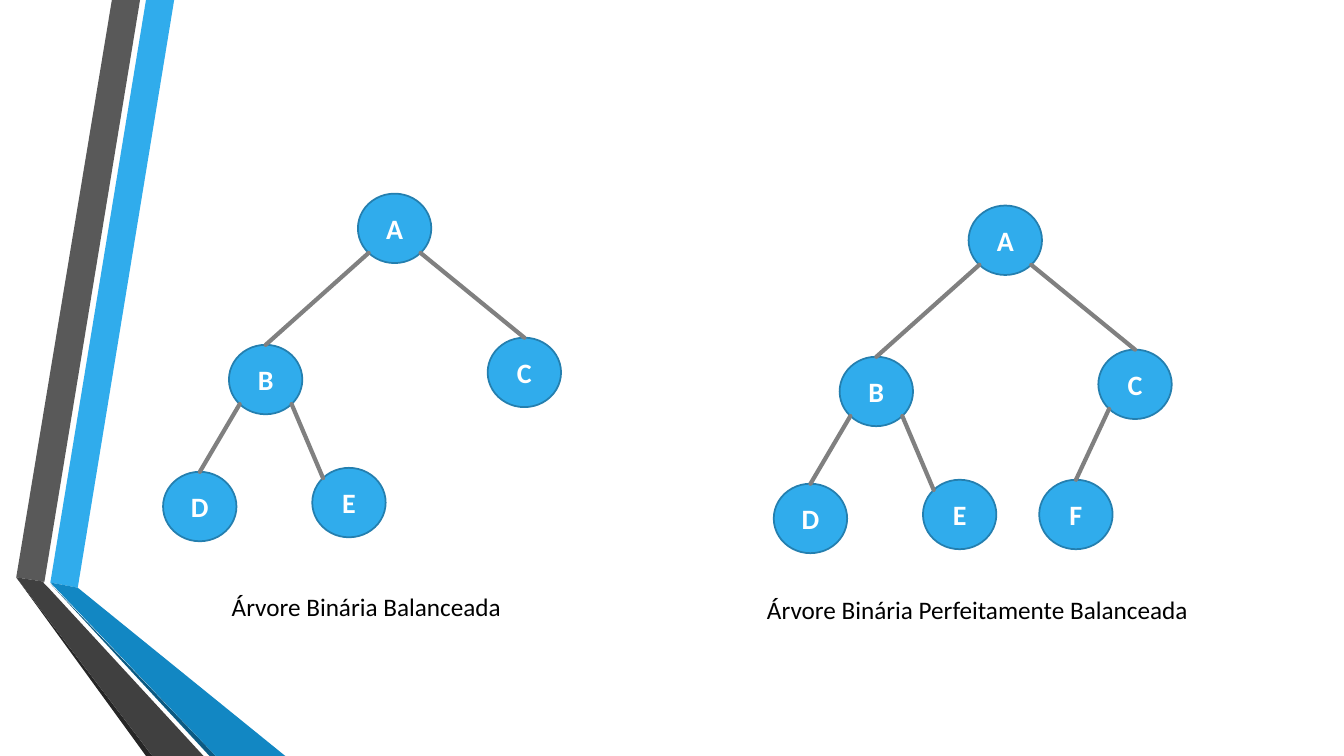
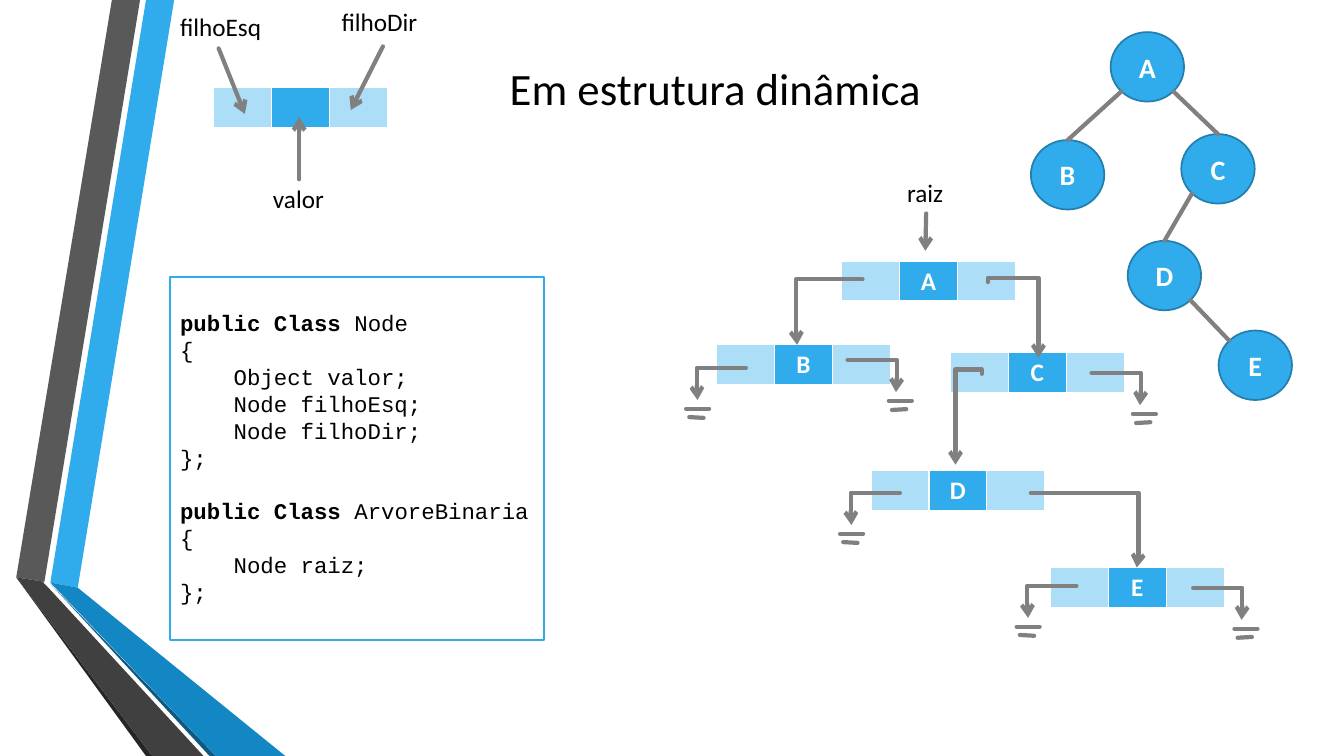
from dataclasses import dataclass

from pptx import Presentation
from pptx.dml.color import RGBColor as RGB
from pptx.enum.shapes import MSO_CONNECTOR as LINK, MSO_SHAPE as SHAPE
from pptx.enum.text import MSO_ANCHOR as ANCHOR, MSO_AUTO_SIZE as AUTO, PP_ALIGN as ALIGN
from pptx.oxml.ns import qn
from pptx.oxml.xmlchemy import OxmlElement as Node
from pptx.util import Cm, Pt


@dataclass(frozen=True)
class Theme:
    blue: str = "30ACEC"
    pale: str = "ACDEF7"
    deep: str = "1287C3"
    navy: str = "0C5A82"
    rim: str = "247FAF"
    gray: str = "595959"
    dark: str = "404040"
    coal: str = "262626"
    edge: str = "808080"
    ink: str = "000000"
    white: str = "FFFFFF"
    font: str = "Calibri"
    mono: str = "Courier New"
    head: float = 32
    node: float = 20
    body: float = 18
    code: float = 16
    lead: float = 19.2
    thin: float = 1.25
    wide: float = 3


THEME = Theme()

BANDS = [
    (THEME.blue, [(1.27, 14.68), (1.96, 14.81), (4.39, 0), (3.68, 0)]),
    (THEME.gray, [(3.53, 0), (2.82, 0), (0.41, 14.55), (1.12, 14.66)]),
    (THEME.coal, [(0.41, 14.55), (3.68, 19.05), (3.84, 19.05)]),
    (THEME.navy, [(1.27, 14.71), (5.28, 19.05), (5.44, 19.05)]),
    (THEME.deep, [(1.27, 14.68), (5.44, 19.05), (7.19, 19.05), (1.96, 14.81)]),
    (THEME.dark, [(5.13, 19.05), (1.22, 14.81), (1.09, 14.68), (1.12, 14.66),
                  (0.41, 14.55), (3.84, 19.05)]),
]


class Deck:
    """Holds the theme and the current slide; all lengths are in centimetres."""

    node_w, node_h = 1.85, 1.75
    cell_w, cell_h = 1.46, 1.03

    def __init__(self, theme):
        self.theme = theme
        self.prs = Presentation()
        self.prs.slide_width, self.prs.slide_height = Cm(33.87), Cm(19.05)
        self.slide = None

    def start(self, title=None):
        layouts = self.prs.slide_layouts
        self.slide = self.prs.slides.add_slide(layouts[5 if title else 6])
        if title:
            box = self.slide.shapes.title
            box.left, box.top, box.width, box.height = Cm(4.11), Cm(-0.23), Cm(27.84), Cm(4.88)
            frame = box.text_frame
            frame.text = title
            frame.vertical_anchor = ANCHOR.MIDDLE
            self.style(frame.paragraphs[0], self.theme.head, align=ALIGN.CENTER)

    def style(self, para, size, color=None, bold=False, font=None, align=ALIGN.LEFT):
        para.alignment = align
        for run in para.runs:
            run.font.name = font or self.theme.font
            run.font.size = Pt(size)
            run.font.bold = bold
            run.font.color.rgb = RGB.from_string(color or self.theme.ink)

    def paint(self, shape, fill, line=None):
        shape.shadow.inherit = False
        shape.fill.solid()
        shape.fill.fore_color.rgb = RGB.from_string(fill)
        if line:
            shape.line.color.rgb = RGB.from_string(line)
            shape.line.width = Pt(self.theme.thin)
        else:
            shape.line.fill.background()

    def bands(self, items):
        """Draw the side bands and move them to the master, for every slide."""
        tree = self.prs.slide_master.shapes.element
        for fill, points in items:
            first, *rest = [(Cm(x), Cm(y)) for x, y in points]
            form = self.slide.shapes.build_freeform(*first, scale=1.0)
            form.add_line_segments(rest, close=True)
            shape = form.convert_to_shape()
            self.paint(shape, fill)
            tree.append(shape.element)

    def label(self, text, x, y, w):
        box = self.slide.shapes.add_textbox(Cm(x), Cm(y), Cm(w), Cm(1.03))
        frame = box.text_frame
        frame.text = text
        frame.word_wrap = False
        frame.auto_size = AUTO.SHAPE_TO_FIT_TEXT
        self.style(frame.paragraphs[0], self.theme.body)

    def finish(self, link, arrow):
        """Give a connector its line, its arrowhead and no shadow."""
        link.line.color.rgb = RGB.from_string(self.theme.edge)
        link.line.width = Pt(self.theme.wide)
        props = link.element.spPr
        line = props.find(qn("a:ln"))
        line.set("cap", "rnd")
        if arrow:
            tail = Node("a:tailEnd")
            tail.set("type", "arrow")
            line.append(tail)
        props.append(Node("a:effectLst"))

    def link(self, x1, y1, x2, y2, arrow=False, kind=LINK.STRAIGHT):
        line = self.slide.shapes.add_connector(kind, Cm(x1), Cm(y1), Cm(x2), Cm(y2))
        self.finish(line, arrow)
        return line

    def bend(self, line, ratio):
        guide = Node("a:gd")
        guide.set("name", "adj1")
        guide.set("fmla", f"val {round(ratio * 100000)}")
        line.element.spPr.find(qn("a:prstGeom")).find(qn("a:avLst")).append(guide)

    def elbow(self, x1, y1, x2, y2):
        """Arrow that runs across and then down."""
        self.bend(self.link(x1, y1, x2, y2, True, LINK.ELBOW), 1.015)

    def hook(self, x1, y1, x2, y2, lift=0.11):
        """Arrow that rises a little, runs across and then drops."""
        mx, my = (x1 + x2) / 2, (y1 + y2) / 2
        dx, dy = (x2 - x1) / 2, (y2 - y1) / 2
        line = self.link(mx - dy, my + dx, mx + dy, my - dx, True, LINK.ELBOW)
        line.element.spPr.find(qn("a:xfrm")).set("rot", str(90 * 60000))
        self.bend(line, -lift / (y2 - y1))

    def ground(self, x, y, side):
        """Null pointer: an elbow to the left (-1) or right (1) above two bars."""
        end, low = x + side * 1.22, y + 0.81
        self.elbow(x, y, end, low)
        mid = end + (0.11 if side > 0 else 0)
        self.link(mid - 0.29, low + 0.22, mid + 0.29, low + 0.22)
        mid -= 0.03
        self.link(mid - side * 0.18, low + 0.45, mid + side * 0.18, low + 0.43)

    def node(self, name, x, y):
        shape = self.slide.shapes.add_shape(
            SHAPE.OVAL, Cm(x), Cm(y), Cm(self.node_w), Cm(self.node_h))
        self.paint(shape, self.theme.blue, self.theme.rim)
        frame = shape.text_frame
        frame.text = name
        frame.vertical_anchor = ANCHOR.MIDDLE
        self.style(frame.paragraphs[0], self.theme.node, self.theme.white, True,
                   align=ALIGN.CENTER)

    def tree(self, nodes, edges, dx=0, dy=0):
        """Draw nodes and parent-child edges; E is met at its upper left."""
        spots = {name: (x + dx, y + dy) for name, (x, y) in nodes.items()}
        for name, (x, y) in spots.items():
            self.node(name, x, y)
        w, h, diag = self.node_w, self.node_h, 0.5 ** 1.5
        for top, low in edges:
            (x1, y1), (x2, y2) = spots[top], spots[low]
            side = 1 if x2 > x1 else -1
            land = (0.5 - diag, 0.5 - diag) if low == "E" else (0.5, 0)
            self.link(x1 + w * (0.5 + side * diag), y1 + h * (0.5 + diag),
                      x2 + w * land[0], y2 + h * land[1])

    def border(self, cell):
        props = cell._tc.get_or_add_tcPr()
        for tag, width in (("L", 1), ("R", 1), ("T", 1), ("B", 3)):
            line = Node(f"a:ln{tag}")
            line.set("w", str(Pt(width)))
            fill, color = Node("a:solidFill"), Node("a:srgbClr")
            color.set("val", self.theme.white)
            fill.append(color)
            line.append(fill)
            props.append(line)

    def record(self, x, y, name=""):
        """Three-cell table: left link, value, right link."""
        frame = self.slide.shapes.add_table(
            1, 3, Cm(x), Cm(y), Cm(3 * self.cell_w), Cm(self.cell_h))
        table = frame.table
        table.first_row = table.horz_banding = False
        fills = self.theme.pale, self.theme.blue, self.theme.pale
        for col, fill in enumerate(fills):
            table.columns[col].width = Cm(self.cell_w)
            cell = table.cell(0, col)
            self.border(cell)
            cell.fill.solid()
            cell.fill.fore_color.rgb = RGB.from_string(fill)
        if name:
            para = table.cell(0, 1).text_frame.paragraphs[0]
            para.text = name
            self.style(para, self.theme.body, self.theme.white, True, align=ALIGN.CENTER)

    def code(self, blocks, x, y, w, h):
        """Boxed code; each block is a class name and its fields."""
        box = self.slide.shapes.add_shape(SHAPE.RECTANGLE, Cm(x), Cm(y), Cm(w), Cm(h))
        self.paint(box, self.theme.white, self.theme.blue)
        frame = box.text_frame
        frame.word_wrap = True
        frame.vertical_anchor = ANCHOR.TOP
        frame.margin_top, frame.margin_right = Cm(0.81), 0
        lines = [line for name, fields in blocks
                 for line in (f"public Class {name}", "{", *fields, "};")]
        fields = {field for block in blocks for field in block[1]}
        for at, line in enumerate(lines):
            para = frame.paragraphs[0] if at == 0 else frame.add_paragraph()
            key = "public Class "
            bold = line.startswith(key)
            para.text = key if bold else line
            if bold:
                para.add_run().text = line[len(key):]
            self.style(para, self.theme.code, font=self.theme.mono)
            para.runs[0].font.bold = bold
            para.line_spacing = Pt(self.theme.lead)
            if bold and at:
                para.space_before = Pt(self.theme.lead)
            if line in fields:
                para._p.get_or_add_pPr().set("marL", str(Cm(1.35)))


def trees(deck):
    deck.start()
    deck.bands(BANDS)
    nodes = {"A": (9.02, 4.88), "B": (5.77, 8.69), "C": (12.29, 8.51),
             "D": (4.11, 11.89), "E": (7.87, 11.79)}
    edges = ["AB", "AC", "BD", "BE"]
    deck.tree(nodes, edges)
    deck.tree(nodes | {"F": (10.8, 11.79)}, edges + ["CF"], 15.39, 0.3)
    deck.label("Árvore Binária Balanceada", 5.59, 14.78, 7.49)
    deck.label("Árvore Binária Perfeitamente Balanceada", 19.08, 14.86, 11.43)


def memory(deck):
    deck.start("Em estrutura dinâmica")
    deck.tree({"A": (27.99, 0.81), "B": (25.98, 3.53), "C": (29.77, 3.38),
               "D": (28.42, 6.07), "E": (30.71, 8.33)}, ["AB", "AC", "CD", "DE"])

    for name, x, y in [("A", 21.21, 6.58), ("B", 18.06, 8.69), ("C", 23.95, 8.89),
                       ("D", 21.95, 11.86), ("E", 26.47, 14.3), ("", 5.38, 2.21)]:
        deck.record(x, y, name)
    deck.elbow(21.74, 7.04, 20.09, 8.69)
    deck.elbow(25.98, 12.42, 28.65, 14.3)
    deck.hook(24.89, 7.11, 26.17, 9.02)
    deck.hook(24.74, 9.42, 24.08, 11.71)
    for x, y, side in [(18.8, 9.27, -1), (22.68, 12.42, -1), (27.13, 14.76, -1),
                       (21.36, 9.07, 1), (27.51, 9.4, 1), (30.07, 14.81, 1)]:
        deck.ground(x, y, side)

    for ends in [(23.34, 5.38, 23.32, 6.32), (5.51, 1.22, 6.17, 2.87),
                 (9.65, 1.17, 8.84, 2.77), (7.54, 4.52, 7.54, 2.95)]:
        deck.link(*ends, arrow=True)
    for text, x, y, w in [("raiz", 22.61, 4.34, 1.47), ("valor", 6.63, 4.5, 1.83),
                          ("filhoEsq", 4.29, 0.15, 2.64), ("filhoDir", 8.36, 0.03, 2.49)]:
        deck.label(text, x, y, w)

    deck.code([("Node", ["Object valor;", "Node filhoEsq;", "Node filhoDir;"]),
               ("ArvoreBinaria", ["Node raiz;"])], 4.29, 6.99, 9.42, 9.14)


def main():
    deck = Deck(THEME)
    trees(deck)
    memory(deck)
    deck.prs.save("out.pptx")


if __name__ == "__main__":
    main()
